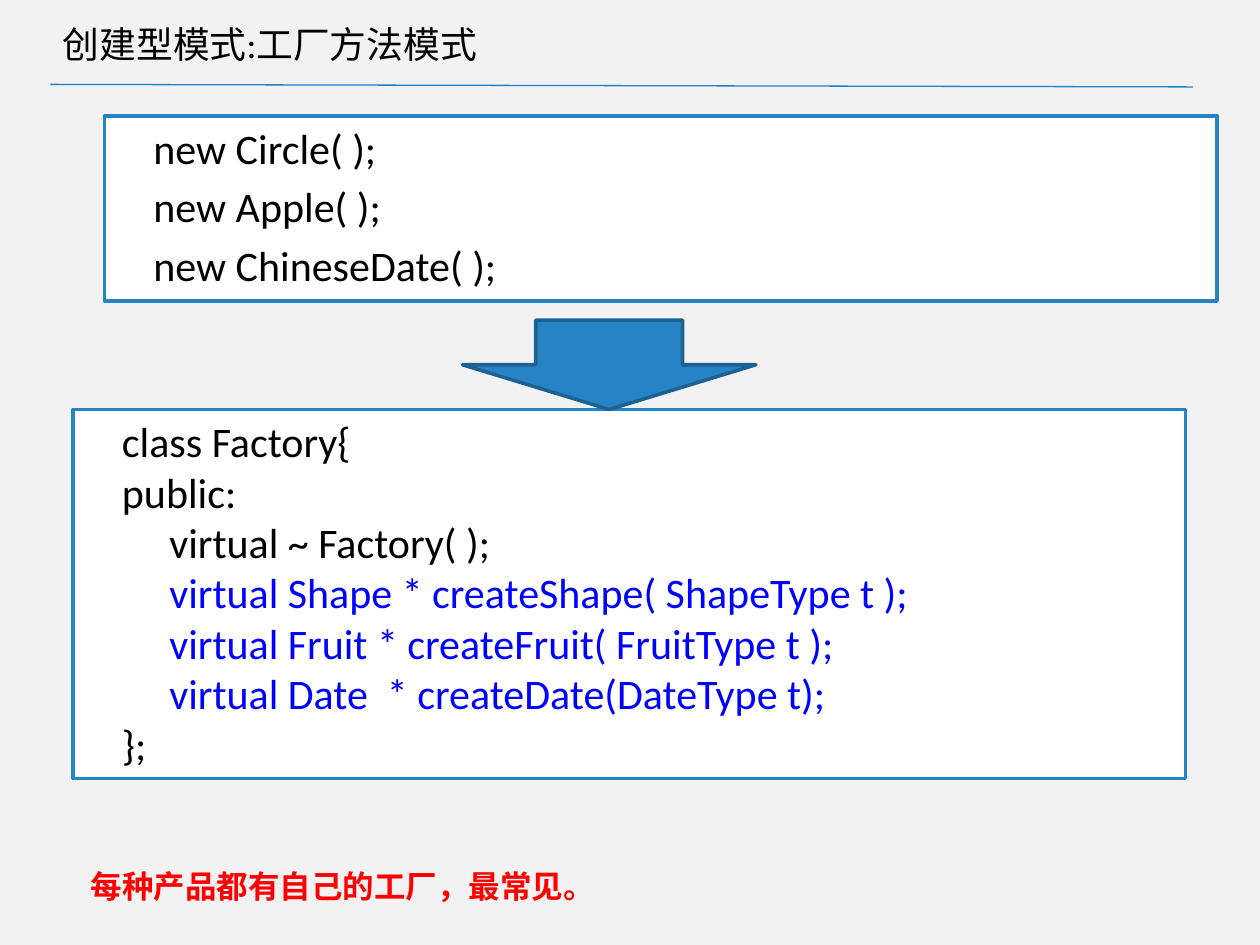
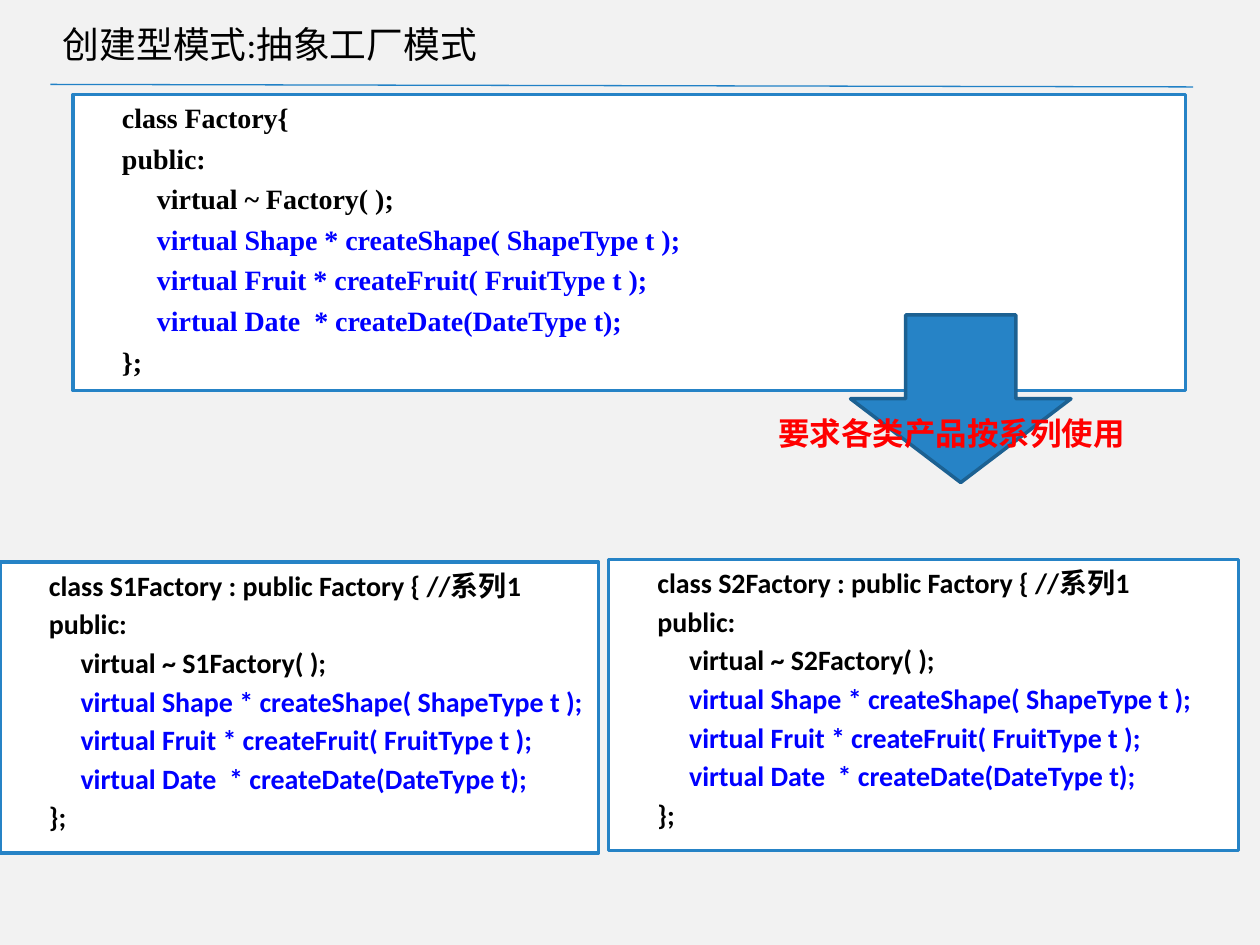
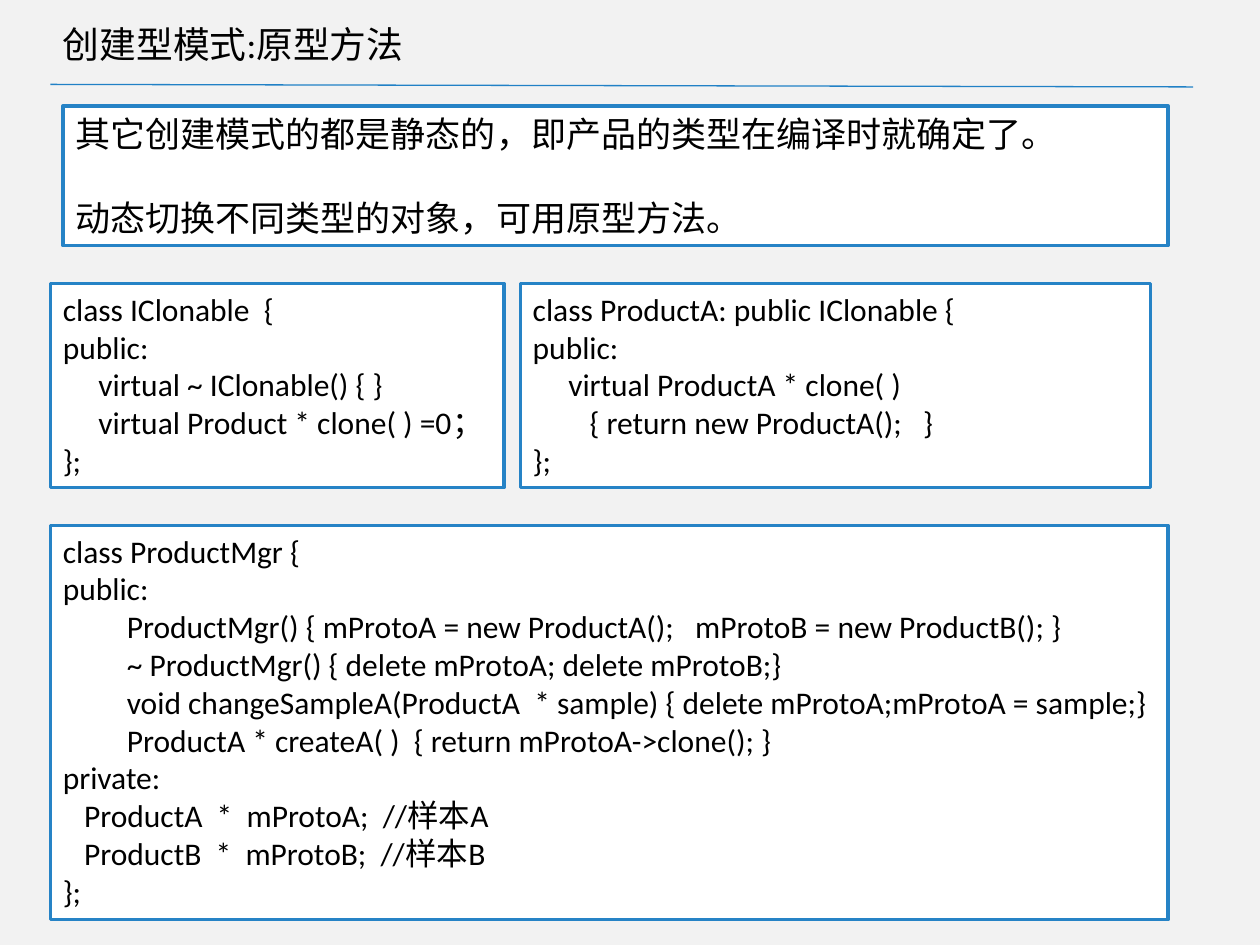
from lxml import etree
from pptx import Presentation
from pptx.dml.color import RGBColor
from pptx.enum import shapes, text
from pptx.oxml import ns
from pptx.util import Inches, Pt

BACKGROUND = "F2F2F2"
RULE = "2181C6"
BLUE = "2683C6"
DARK_BLUE = "1C6192"
WHITE = "FFFFFF"
BLACK = "000000"
CODE_BLUE = "0000FF"
RED = "FF0000"

# Width of one code column as a share of the font size
COLUMN_WIDTH = {"Calibri": 0.226, "Times New Roman": 0.25}
FIRST_INDENT = 0.29


def color(hex_string):
    return RGBColor.from_string(hex_string)


def set_font(paragraph, size, name, hex_string, bold=False):
    font = paragraph.font
    font.size = Pt(size)
    font.name = name
    font.bold = bold
    font.color.rgb = color(hex_string)


def add_preset(slide, kind, bounds, fill, line):
    shape = slide.shapes.add_shape(kind, *map(Inches, bounds))
    shape.shadow.inherit = False
    shape.fill.solid()
    shape.fill.fore_color.rgb = color(fill)
    shape.line.color.rgb = color(line)
    shape.line.width = Pt(2)
    return shape


def add_down_arrow(slide, bounds):
    add_preset(slide, shapes.MSO_SHAPE.DOWN_ARROW, bounds, BLUE, DARK_BLUE)


def add_text(slide, bounds, words, size, name, hex_string, bold=False):
    frame = slide.shapes.add_textbox(*map(Inches, bounds)).text_frame
    frame.word_wrap = True
    paragraph = frame.paragraphs[0]
    paragraph.text = words
    set_font(paragraph, size, name, hex_string, bold)
    return frame


def add_panel(slide, bounds, lines, size, name="Calibri", bold=False,
              indent=0, gap=0):
    """Draw a white box of lines, each (columns of indent, words[, colour])."""
    panel = add_preset(slide, shapes.MSO_SHAPE.RECTANGLE, bounds, WHITE, BLUE)
    frame = panel.text_frame
    frame.word_wrap = True
    frame.vertical_anchor = text.MSO_ANCHOR.TOP
    for number, (columns, words, *line_color) in enumerate(lines):
        paragraph = frame.add_paragraph() if number else frame.paragraphs[0]
        paragraph.text = words
        paragraph.alignment = text.PP_ALIGN.LEFT
        paragraph.space_before = Pt(gap if number else 0)
        set_font(paragraph, size, name, *(line_color or [BLACK]), bold)
        left = indent + columns * COLUMN_WIDTH[name] * size / 72
        paragraph._p.get_or_add_pPr().set("marL", str(Inches(left)))


def factory_lines(name, heading):
    return [
        (0, heading),
        (0, "public:"),
        (5, f"virtual ~ {name}( );"),
        (5, "virtual Shape * createShape( ShapeType t );", CODE_BLUE),
        (5, "virtual Fruit * createFruit( FruitType t );", CODE_BLUE),
        (5, "virtual Date  * createDate(DateType t);", CODE_BLUE),
        (0, "};"),
    ]


def add_pattern_slide(presentation, pattern):
    """Add a slide with the shared background, title and rule."""
    slide = presentation.slides.add_slide(presentation.slide_layouts[6])
    slide.background.fill.solid()
    slide.background.fill.fore_color.rgb = color(BACKGROUND)
    rule = slide.shapes.add_connector(
        shapes.MSO_CONNECTOR.STRAIGHT, *map(Inches, (0.4, 0.67, 9.47, 0.69)))
    rule.line.color.rgb = color(RULE)
    rule.line.width = Pt(0.75)
    etree.SubElement(rule._element.spPr, ns.qn("a:effectLst"))
    title = add_text(slide, (0.4, 0.08, 8.62, 0.53), f"创建型模式:{pattern}",
                     21, "Calibri", BLACK)
    title.vertical_anchor = text.MSO_ANCHOR.MIDDLE
    return slide


def build_factory_method(presentation):
    slide = add_pattern_slide(presentation, "工厂方法模式")
    add_panel(slide, (0.58, 3.25, 8.83, 2.93),
              factory_lines("Factory", "class Factory{"), 24, indent=FIRST_INDENT)
    products = ("Circle", "Apple", "ChineseDate")
    add_panel(slide, (0.83, 0.92, 8.83, 1.47),
              [(0, f"new {product}( );") for product in products],
              24, indent=FIRST_INDENT, gap=4.8)
    add_down_arrow(slide, (3.67, 2.54, 2.33, 0.71))
    add_text(slide, (0.62, 6.83, 8.79, 0.4), "每种产品都有自己的工厂，最常见。",
             18, "Arial", RED, bold=True)


def build_abstract_factory(presentation):
    slide = add_pattern_slide(presentation, "抽象工厂模式")
    add_panel(slide, (0.58, 0.75, 8.83, 2.35),
              factory_lines("Factory", "class Factory{"), 16,
              "Times New Roman", bold=True, indent=FIRST_INDENT, gap=4)
    add_down_arrow(slide, (6.75, 2.5, 1.75, 1.33))
    add_text(slide, (6.08, 3.24, 3.17, 0.4), "要求各类产品按系列使用",
             18, "Arial", RED, bold=True)
    series = {"S1Factory": (0, 4.46, 4.75, 2.31),
              "S2Factory": (4.83, 4.44, 5, 2.31)}
    for name, bounds in series.items():
        heading = f"class {name} : public Factory {{ //系列1"
        add_panel(slide, bounds, factory_lines(name, heading), 16,
                  bold=True, indent=FIRST_INDENT, gap=2.9)


def build_prototype(presentation):
    slide = add_pattern_slide(presentation, "原型方法")
    add_panel(slide, (0.5, 0.84, 8.77, 1.11), [
        (0, "其它创建模式的都是静态的，即产品的类型在编译时就确定了。"),
        (0, "动态切换不同类型的对象，可用原型方法。"),
    ], 20, gap=24)
    add_panel(slide, (0.4, 2.25, 3.6, 1.62), [
        (0, "class IClonable  {"),
        (0, "public:"),
        (5, "virtual ~ IClonable() { }"),
        (5, "virtual Product * clone( ) =0；"),
        (0, "};"),
    ], 18)
    add_panel(slide, (0.4, 4.17, 8.87, 3.13), [
        (0, "class ProductMgr {"),
        (0, "public:"),
        (9, "ProductMgr() { mProtoA = new ProductA();   mProtoB = new ProductB(); }"),
        (9, "~ ProductMgr() { delete mProtoA; delete mProtoB;}"),
        (9, "void changeSampleA(ProductA  * sample) { delete mProtoA;mProtoA = sample;}"),
        (9, "ProductA * createA( )  { return mProtoA->clone(); }"),
        (0, "private:"),
        (3, "ProductA  *  mProtoA;  //样本A"),
        (3, "ProductB  *  mProtoB;  //样本B"),
        (0, "};"),
    ], 18)
    add_panel(slide, (4.13, 2.25, 5, 1.62), [
        (0, "class ProductA: public IClonable {"),
        (0, "public:"),
        (5, "virtual ProductA * clone( )"),
        (8, "{ return new ProductA();   }"),
        (0, "};"),
    ], 18)


def main():
    presentation = Presentation()
    presentation.slide_width = Inches(10)
    presentation.slide_height = Inches(7.5)
    build_factory_method(presentation)
    build_abstract_factory(presentation)
    build_prototype(presentation)
    presentation.save("out.pptx")


if __name__ == "__main__":
    main()
